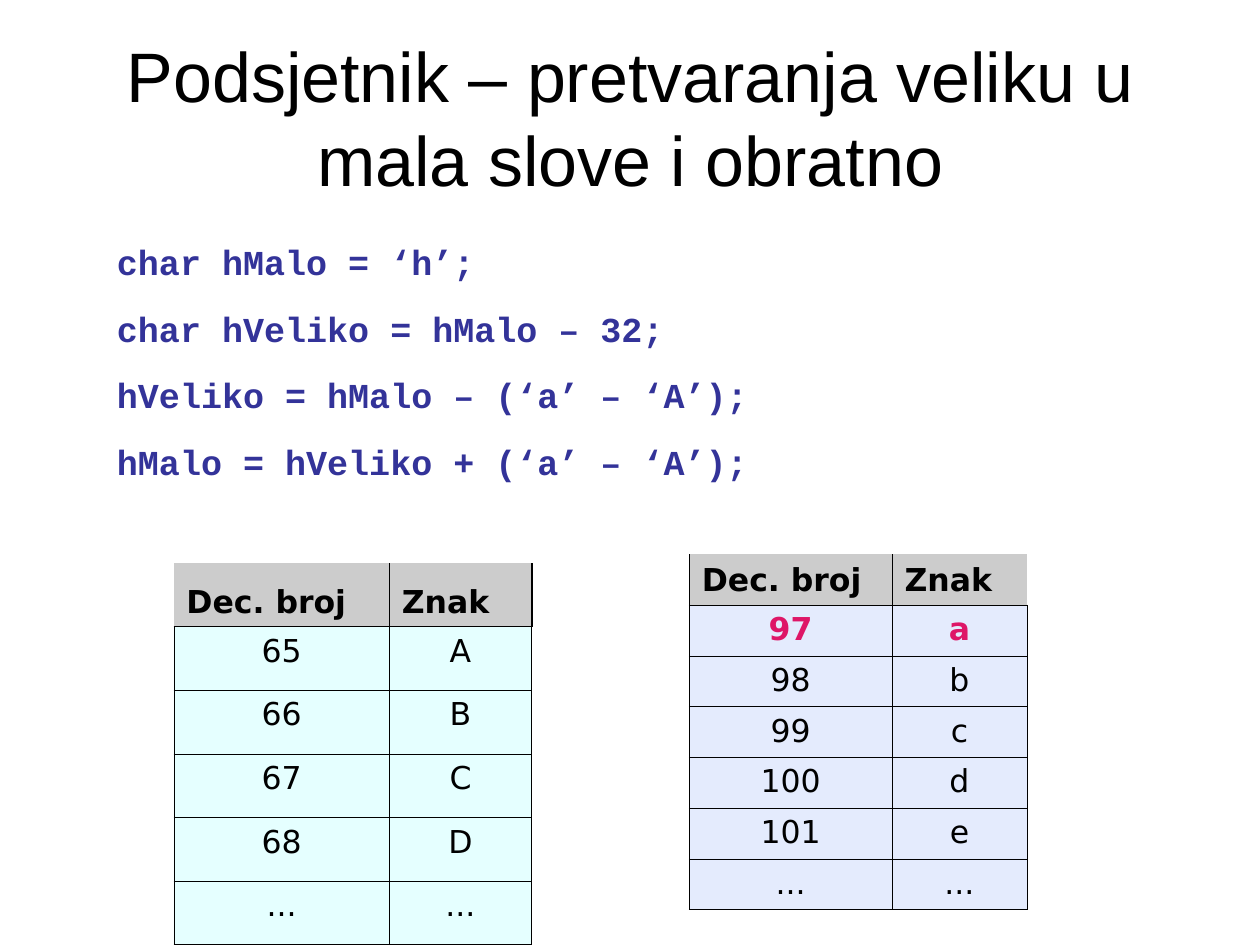
import pptx
import pptx.dml.color
import pptx.enum.text
import pptx.oxml
import pptx.oxml.ns
import pptx.util
from pptx.util import Inches

COLORS = {
    "text": "000000",
    "code": "333399",
    "header": "CCCCCC",
    "upper": "CCFFFF",
    "lower": "CBD8FD",
    "accent": "DE1667",
}
ALIGN = pptx.enum.text.PP_ALIGN
ANCHOR = pptx.enum.text.MSO_ANCHOR
THIN, THICK = 0.45, 1.08


def rgb(name):
    return pptx.dml.color.RGBColor.from_string(COLORS[name])


class SlideBuilder:
    title_font, code_font, table_font = "Arial", "Courier New", "DejaVu Sans"

    def __init__(self, slide):
        self.slide = slide

    def style(self, paragraph, font, size, color="text", bold=False, align=ALIGN.LEFT):
        paragraph.alignment = align
        paragraph.font.name = font
        paragraph.font.size = pptx.util.Pt(size)
        paragraph.font.bold = bold
        paragraph.font.color.rgb = rgb(color)

    def title(self, text, left, top, width, height):
        title = self.slide.shapes.title
        title.left, title.top = Inches(left), Inches(top)
        title.width, title.height = Inches(width), Inches(height)
        frame = title.text_frame
        frame.text = text
        frame.vertical_anchor = ANCHOR.MIDDLE
        frame.auto_size = pptx.enum.text.MSO_AUTO_SIZE.NONE
        self.style(frame.paragraphs[0], self.title_font, 40, align=ALIGN.CENTER)

    def code(self, lines, left, top, width, height):
        box = self.slide.shapes.add_textbox(
            Inches(left), Inches(top), Inches(width), Inches(height))
        frame = box.text_frame
        frame.word_wrap = True
        frame.text = "\n".join(lines)
        for index, paragraph in enumerate(frame.paragraphs):
            self.style(paragraph, self.code_font, 20, "code", bold=True)
            paragraph.space_before = pptx.util.Pt(14 if index else 0)

    def borders(self, cell, widths):
        """Draw the edges given in points by side; hide the others."""
        properties = cell._tc.get_or_add_tcPr()
        for index, side in enumerate("LRTB"):
            points = widths.get(side, 0)
            paint = (f'<a:solidFill><a:srgbClr val="{COLORS["text"]}"/></a:solidFill>'
                     if points else "<a:noFill/>")
            properties.insert(index, pptx.oxml.parse_xml(
                f'<a:ln{side} {pptx.oxml.ns.nsdecls("a")} w="{pptx.util.Pt(points)}">'
                f"{paint}</a:ln{side}>"))

    def fill(self, cell, color, opacity=100):
        cell.fill.solid()
        cell.fill.fore_color.rgb = rgb(color)
        if opacity < 100:
            swatch = cell._tc.tcPr.find(".//" + pptx.oxml.ns.qn("a:srgbClr"))
            swatch.append(pptx.oxml.parse_xml(
                f'<a:alpha {pptx.oxml.ns.nsdecls("a")} val="{opacity * 1000}"/>'))

    def code_table(self, rows, left, top, widths, row_height, color,
                   header_borders, accent_row=None):
        """Table of character codes; header_borders has one dict per column."""
        rows = [("Dec. broj", "Znak"), *rows]
        table = self.slide.shapes.add_table(
            len(rows), len(widths), Inches(left), Inches(top),
            Inches(sum(widths)), Inches(row_height * len(rows))).table
        table.first_row = table.horz_banding = False
        for column, width in zip(table.columns, widths):
            column.width = Inches(width)
        for r, values in enumerate(rows):
            table.rows[r].height = Inches(row_height)
            for c, value in enumerate(values):
                cell = table.cell(r, c)
                cell.text = value
                paragraph = cell.text_frame.paragraphs[0]
                if r == 0:
                    cell.vertical_anchor = ANCHOR.BOTTOM
                    self.style(paragraph, self.table_font, 18, bold=True)
                    self.fill(cell, "header")
                    self.borders(cell, header_borders[c])
                else:
                    accent = r == accent_row
                    self.style(paragraph, self.table_font, 18,
                               "accent" if accent else "text", accent, ALIGN.CENTER)
                    self.fill(cell, color, opacity=50)
                    self.borders(cell, dict.fromkeys("LRTB", THIN))


def character_rows(first, count):
    return [(str(n), chr(n)) for n in range(first, first + count)] + [("...", "...")]


def main():
    deck = pptx.Presentation()
    deck.slide_width, deck.slide_height = Inches(10), Inches(7.5)
    builder = SlideBuilder(deck.slides.add_slide(deck.slide_layouts[5]))
    builder.title("Podsjetnik – pretvaranja veliku u mala slove i obratno",
                  0.5, 0.3, 9, 1.25)
    builder.code_table(
        character_rows(65, 4), 1.38, 4.47, (1.71, 1.13), 0.505, "upper",
        ({"R": THIN, "B": THIN}, {"L": THIN, "R": THICK, "B": THIN}))
    builder.code_table(
        character_rows(97, 5), 5.47, 4.4, (1.61, 1.07), 0.403, "lower",
        ({"L": THIN, "R": THIN, "B": THIN}, {"L": THIN, "B": THIN}), accent_row=1)
    builder.code(["char hMalo = ‘h’;",
                  "char hVeliko = hMalo – 32;",
                  "hVeliko = hMalo – (‘a’ – ‘A’);",
                  "hMalo = hVeliko + (‘a’ – ‘A’);"], 0.83, 1.86, 8.51, 1.96)
    deck.save("out.pptx")


if __name__ == "__main__":
    main()
